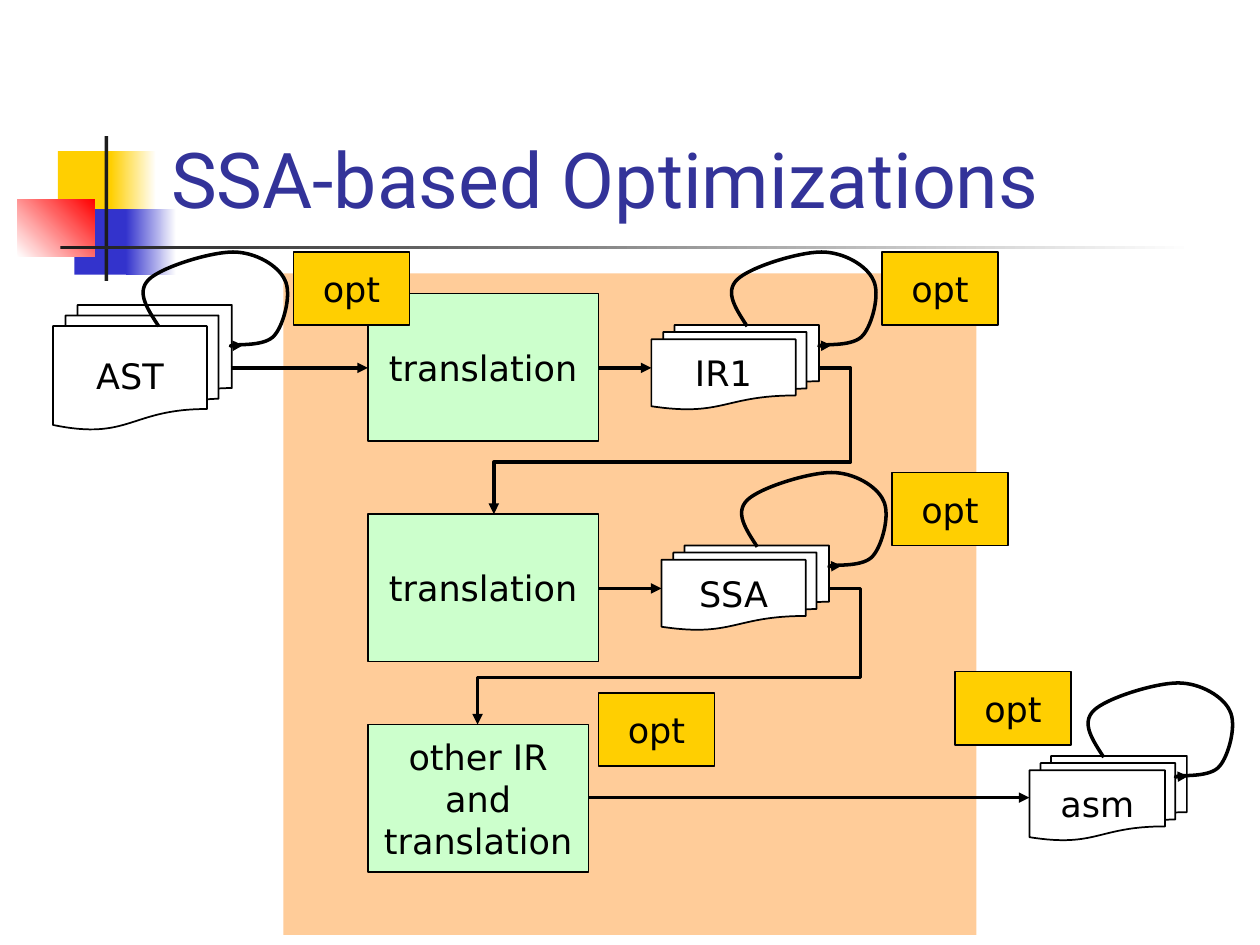
from dataclasses import dataclass
from typing import Optional

from lxml import etree
from pptx import Presentation
from pptx.dml.color import RGBColor
from pptx.enum.shapes import MSO_CONNECTOR, MSO_SHAPE
from pptx.enum.text import MSO_ANCHOR, PP_ALIGN
from pptx.oxml.ns import qn
from pptx.util import Inches, Pt

COLORS = {
    "yellow": "FFCF01", "blue": "3333CC", "red": "FF0000", "dark": "1C1C1C",
    "white": "FFFFFF", "black": "000000", "title": "333399",
    "panel": "FFCC99", "green": "CCFFCC",
}


@dataclass
class Block:
    left: float
    top: float
    width: float
    height: float
    fill: Optional[str] = None
    fade_to: Optional[str] = None
    angle: float = 0
    text: str = ""
    preset: MSO_SHAPE = MSO_SHAPE.RECTANGLE


@dataclass
class Arrow:
    start: tuple[float, float]
    end: tuple[float, float]
    bends: Optional[tuple[int, int]] = None


def rgb(name: str) -> RGBColor:
    return RGBColor.from_string(COLORS[name])


def process(left, top, width, height, fill, text) -> Block:
    return Block(left, top, width, height, fill, text=text,
                 preset=MSO_SHAPE.FLOWCHART_PROCESS)


def document(left, top, width, height, text, fill="white") -> Block:
    return Block(left, top, width, height, fill, text=text,
                 preset=MSO_SHAPE.FLOWCHART_MULTIDOCUMENT)


def opt(left: float, top: float) -> Block:
    return process(left, top, 0.92, 0.58, "yellow", "opt")


def style_text(frame, size: float, font: str, color: str) -> None:
    for run in frame.paragraphs[0].runs:
        run.font.size = Pt(size)
        run.font.name = font
        run.font.color.rgb = rgb(color)


def draw_block(shapes, block: Block) -> None:
    shape = shapes.add_shape(
        block.preset, Inches(block.left), Inches(block.top),
        Inches(block.width), Inches(block.height))
    shape.shadow.inherit = False
    if block.fade_to:
        shape.fill.gradient()
        shape.fill.gradient_angle = block.angle
        for stop, color, position in zip(
                shape.fill.gradient_stops, (block.fill, block.fade_to), (0, 1)):
            stop.color.rgb = rgb(color)
            stop.position = position
    elif block.fill:
        shape.fill.solid()
        shape.fill.fore_color.rgb = rgb(block.fill)
    else:
        shape.fill.background()
    if not block.text:
        shape.line.fill.background()
        return
    shape.line.color.rgb = rgb("black")
    shape.line.width = Pt(1)
    frame = shape.text_frame
    frame.text = block.text
    frame.word_wrap = True
    frame.vertical_anchor = MSO_ANCHOR.MIDDLE
    frame.paragraphs[0].alignment = PP_ALIGN.CENTER
    style_text(frame, 20, "DejaVu Sans", "black")


def style_arrow(shape) -> None:
    shape.line.color.rgb = rgb("black")
    shape.line.width = Pt(2)
    etree.SubElement(shape.line._get_or_add_ln(), qn("a:tailEnd"), type="triangle")


def draw_arrow(shapes, arrow: Arrow) -> None:
    kind = MSO_CONNECTOR.ELBOW if arrow.bends else MSO_CONNECTOR.STRAIGHT
    connector = shapes.add_connector(
        kind, *(Inches(value) for value in arrow.start + arrow.end))
    style_arrow(connector)
    properties = connector._element.spPr
    etree.SubElement(properties, qn("a:effectLst"))
    if arrow.bends:
        geometry = properties.find(qn("a:prstGeom"))
        geometry.set("prst", "bentConnector4")
        guides = geometry.find(qn("a:avLst"))
        if guides is None:
            guides = etree.SubElement(geometry, qn("a:avLst"))
        for number, bend in enumerate(arrow.bends, 1):
            etree.SubElement(guides, qn("a:gd"), name=f"adj{number}",
                             fmla=f"val {bend}")


# Start point, then three Bezier points per curve
LOOP = [
    (0.18, 0.59),
    (0.09, 0.45), (0, 0.32), (0.1, 0.22),
    (0.2, 0.12), (0.59, 0), (0.77, 0),
    (0.95, 0), (1.13, 0.11), (1.18, 0.22),
    (1.24, 0.33), (1.17, 0.58), (1.1, 0.66),
    (1.03, 0.75), (0.81, 0.73), (0.77, 0.74),
    (0.73, 0.75), (0.79, 0.74), (0.85, 0.74),
]


def draw_loop(shapes, left: float, top: float) -> None:
    points = [(Inches(left + x), Inches(top + y)) for x, y in LOOP]
    builder = shapes.build_freeform(*points[0])
    builder.add_line_segments(points[1:], close=False)
    loop = builder.convert_to_shape()
    loop.shadow.inherit = False
    loop.fill.background()
    style_arrow(loop)
    # Join every three segments into one curve
    outline = next(loop._element.iter(qn("a:path")))
    segments = outline.findall(qn("a:lnTo"))
    for first in range(0, len(segments), 3):
        curve = etree.SubElement(outline, qn("a:cubicBezTo"))
        for segment in segments[first:first + 3]:
            curve.append(segment[0])
            outline.remove(segment)


ORNAMENT = [
    Block(0.46, 1.2, 0.48, 0.52, "yellow"),
    Block(0.88, 1.2, 0.36, 0.52, "yellow", "white"),
    Block(0.59, 1.66, 0.46, 0.52, "blue"),
    Block(1, 1.66, 0.4, 0.52, "blue", "white"),
    Block(0.14, 1.58, 0.61, 0.46, "white", "red", 45),
    Block(0.83, 1.08, 0.03, 1.15, "dark"),
    Block(0.48, 1.95, 9, 0.03, "dark", "white"),
]
ARROWS = [
    Arrow((1.83, 2.92), (2.92, 2.92)),
    Arrow((4.75, 2.92), (5.17, 2.92)),
    Arrow((4.75, 4.67), (5.25, 4.67)),
    Arrow((4.67, 6.33), (8.17, 6.33)),
    Arrow((6.5, 2.92), (3.92, 4.08), (-9700, 64300)),
    Arrow((6.58, 4.67), (3.79, 5.75), (-9000, 65400)),
]
STAGES = [
    document(0.42, 2.42, 1.42, 0.99, "AST", fill=None),
    process(2.92, 2.33, 1.83, 1.17, "green", "translation"),
    document(5.17, 2.58, 1.33, 0.67, "IR1"),
    process(2.92, 4.08, 1.83, 1.17, "green", "translation"),
    document(5.25, 4.33, 1.33, 0.67, "SSA"),
    process(2.92, 5.75, 1.75, 1.17, "green", "other IR and translation"),
    document(8.17, 6, 1.25, 0.67, "asm"),
]
LOOPS = [(1.08, 2), (5.75, 2), (5.83, 3.75), (8.58, 5.42)]
OPTS = [(2.33, 2), (7, 2), (7.08, 3.75), (7.58, 5.33), (4.75, 5.5)]


def main() -> None:
    deck = Presentation()
    deck.slide_width, deck.slide_height = Inches(10), Inches(7.5)
    shapes = deck.slides.add_slide(deck.slide_layouts[6]).shapes

    # Corner ornament and rule
    for block in ORNAMENT:
        draw_block(shapes, block)

    # Title
    title = shapes.add_textbox(
        Inches(1.26), Inches(0.23), Inches(8.52), Inches(1.6)).text_frame
    title.text = "SSA-based Optimizations"
    title.word_wrap = True
    title.vertical_anchor = MSO_ANCHOR.BOTTOM
    style_text(title, 44, "Roboto", "title")

    # Compiler pipeline
    draw_block(shapes, Block(2.25, 2.17, 5.5, 5.25, "panel"))
    for arrow in ARROWS:
        draw_arrow(shapes, arrow)
    for stage in STAGES:
        draw_block(shapes, stage)

    # Optimization loops and their labels
    for left, top in LOOPS:
        draw_loop(shapes, left, top)
    for left, top in OPTS:
        draw_block(shapes, opt(left, top))

    deck.save("out.pptx")


if __name__ == "__main__":
    main()
